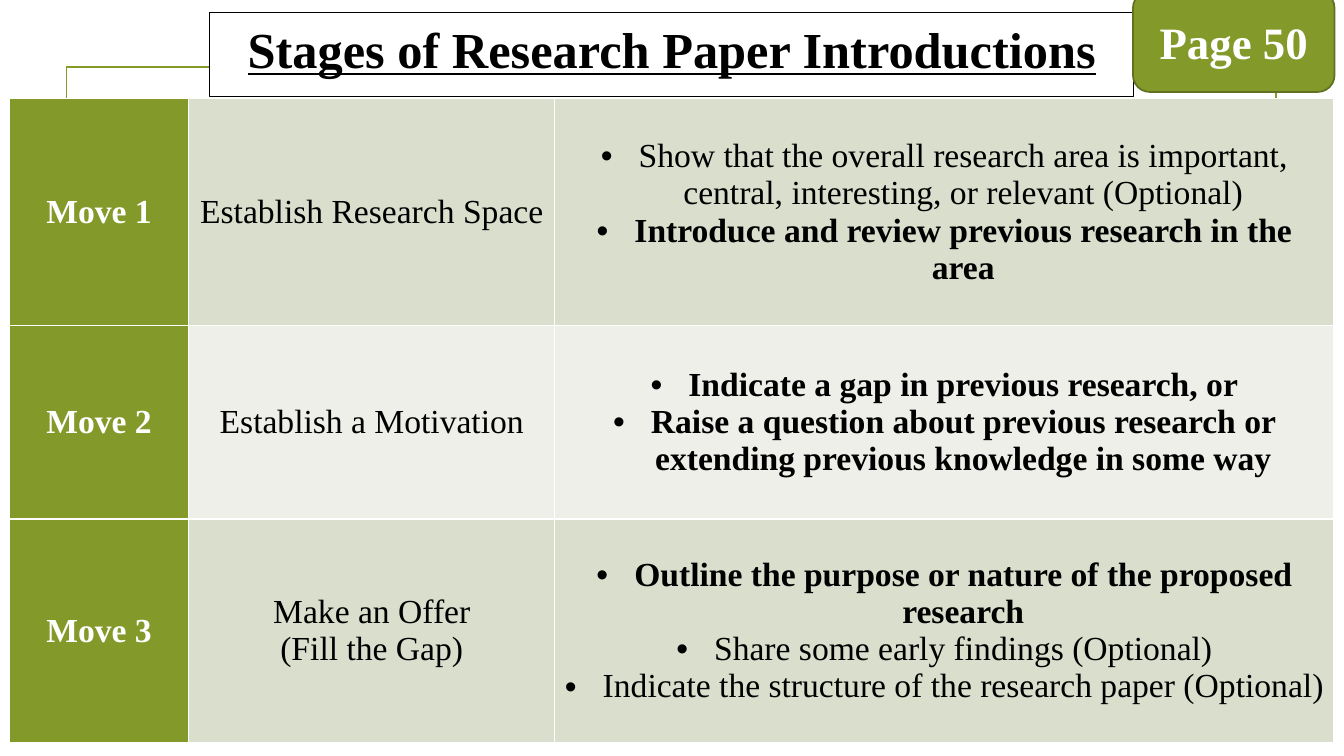
from dataclasses import dataclass

from lxml.etree import SubElement
from pptx import Presentation
from pptx.dml.color import RGBColor
from pptx.enum.shapes import MSO_SHAPE
from pptx.enum.text import MSO_ANCHOR, MSO_AUTO_SIZE, PP_ALIGN
from pptx.oxml.ns import qn
from pptx.util import Pt

TITLE = "Stages of Research Paper Introductions"
PAGE_LABEL = "Page 50"

# Each move: label, aim, steps as (text, bold)
MOVES = [
    ("Move 1", "Establish Research Space", [
        ("Show that the overall research area is important, central, "
         "interesting, or relevant (Optional)", False),
        ("Introduce and review previous research in the area", True),
    ]),
    ("Move 2", "Establish a Motivation", [
        ("Indicate a gap in previous research, or", True),
        ("Raise a question about previous research or extending previous "
         "knowledge in some way", True),
    ]),
    ("Move 3", "Make an Offer\n(Fill the Gap)", [
        ("Outline the purpose or nature of the proposed research", True),
        ("Share some early findings (Optional)", False),
        ("Indicate the structure of the research paper (Optional)", False),
    ]),
]

# Left, top, width, height in points
FRAME_BOX = (47.5, 48, 864, 444)
TITLE_BOX = (149.8, 9.2, 660.2, 51.2)
PAGE_BOX = (809.3, -6.3, 144, 72)
TABLE_ORIGIN = (6.7, 70.5)
COLUMN_WIDTHS = (128.2, 261.4, 556.6)
ROW_HEIGHTS = (162, 138.2, 159.8)
BULLET_INDENT = 27


@dataclass(frozen=True)
class Theme:
    font: str = "Times New Roman"
    title_size: int = 36
    page_size: int = 32
    cell_size: int = 24
    green: str = "83992A"
    dark_green: str = "61711F"
    bands: tuple = ("D9DECD", "EDEFE8")
    white: str = "FFFFFF"
    black: str = "000000"


THEME = Theme()


def rgb(value):
    return RGBColor.from_string(value)


def points(values):
    return [Pt(value) for value in values]


def style_paragraph(paragraph, size, color, bold):
    paragraph.alignment = PP_ALIGN.CENTER
    font = paragraph.font
    font.name, font.size, font.bold = THEME.font, Pt(size), bold
    font.color.rgb = rgb(color)


def paint(shape, fill, line, line_width):
    if fill:
        shape.fill.solid()
        shape.fill.fore_color.rgb = rgb(fill)
    else:
        shape.fill.background()
    shape.line.color.rgb = rgb(line)
    shape.line.width = Pt(line_width)


def add_box(slide, kind, box, fill, line):
    shape = slide.shapes.add_shape(kind, *points(box))
    shape.shadow.inherit = False
    paint(shape, fill, line, 1.25)
    return shape


def add_bullet(paragraph):
    properties = paragraph._p.get_or_add_pPr()
    properties.set("marL", str(Pt(BULLET_INDENT)))
    properties.set("indent", str(-Pt(BULLET_INDENT)))
    SubElement(properties, qn("a:buFont"), typeface="Arial")
    SubElement(properties, qn("a:buChar"), char="•")


def set_borders(cell):
    """Draw white one-point borders; call before the cell is filled."""
    properties = cell._tc.get_or_add_tcPr()
    for side in ("lnL", "lnR", "lnT", "lnB"):
        line = SubElement(properties, qn(f"a:{side}"), w=str(Pt(1)))
        fill = SubElement(line, qn("a:solidFill"))
        SubElement(fill, qn("a:srgbClr"), val=THEME.white)


def fill_cell(cell, entries, fill, color, bulleted=False):
    set_borders(cell)
    cell.fill.solid()
    cell.fill.fore_color.rgb = rgb(fill)
    cell.vertical_anchor = MSO_ANCHOR.MIDDLE
    frame = cell.text_frame
    for index, (text, bold) in enumerate(entries):
        paragraph = frame.add_paragraph() if index else frame.paragraphs[0]
        paragraph.text = text
        if bulleted:
            add_bullet(paragraph)
        style_paragraph(paragraph, THEME.cell_size, color, bold)


def add_moves_table(slide):
    size = (sum(COLUMN_WIDTHS), sum(ROW_HEIGHTS))
    table = slide.shapes.add_table(
        len(MOVES), len(COLUMN_WIDTHS), *points(TABLE_ORIGIN + size)).table
    table.first_row = False
    table.horz_banding = False
    for column, width in zip(table.columns, COLUMN_WIDTHS):
        column.width = Pt(width)
    for index, (label, aim, steps) in enumerate(MOVES):
        table.rows[index].height = Pt(ROW_HEIGHTS[index])
        band = THEME.bands[index % 2]
        label_cell, aim_cell, steps_cell = table.rows[index].cells
        fill_cell(label_cell, [(label, True)], THEME.green, THEME.white)
        fill_cell(aim_cell, [(aim, False)], band, THEME.black)
        fill_cell(steps_cell, steps, band, THEME.black, bulleted=True)


def format_title(title):
    title.left, title.top, title.width, title.height = points(TITLE_BOX)
    paint(title, THEME.white, THEME.black, 0.75)
    frame = title.text_frame
    frame.text = TITLE
    frame.word_wrap = True
    frame.auto_size = MSO_AUTO_SIZE.SHAPE_TO_FIT_TEXT
    frame.vertical_anchor = MSO_ANCHOR.TOP
    paragraph = frame.paragraphs[0]
    style_paragraph(paragraph, THEME.title_size, THEME.black, True)
    paragraph.font.underline = True


def add_page_badge(slide):
    badge = add_box(slide, MSO_SHAPE.ROUNDED_RECTANGLE, PAGE_BOX,
                    THEME.green, THEME.dark_green)
    frame = badge.text_frame
    frame.text = PAGE_LABEL
    frame.vertical_anchor = MSO_ANCHOR.MIDDLE
    style_paragraph(frame.paragraphs[0], THEME.page_size, THEME.white, True)


def main():
    presentation = Presentation()
    presentation.slide_width, presentation.slide_height = Pt(960), Pt(540)
    slide = presentation.slides.add_slide(presentation.slide_layouts[5])
    title = slide.shapes.title
    format_title(title)
    frame = add_box(slide, MSO_SHAPE.RECTANGLE, FRAME_BOX, None, THEME.green)
    title.element.addprevious(frame.element)  # keep the frame behind the title
    add_moves_table(slide)
    add_page_badge(slide)
    presentation.save("out.pptx")


if __name__ == "__main__":
    main()
